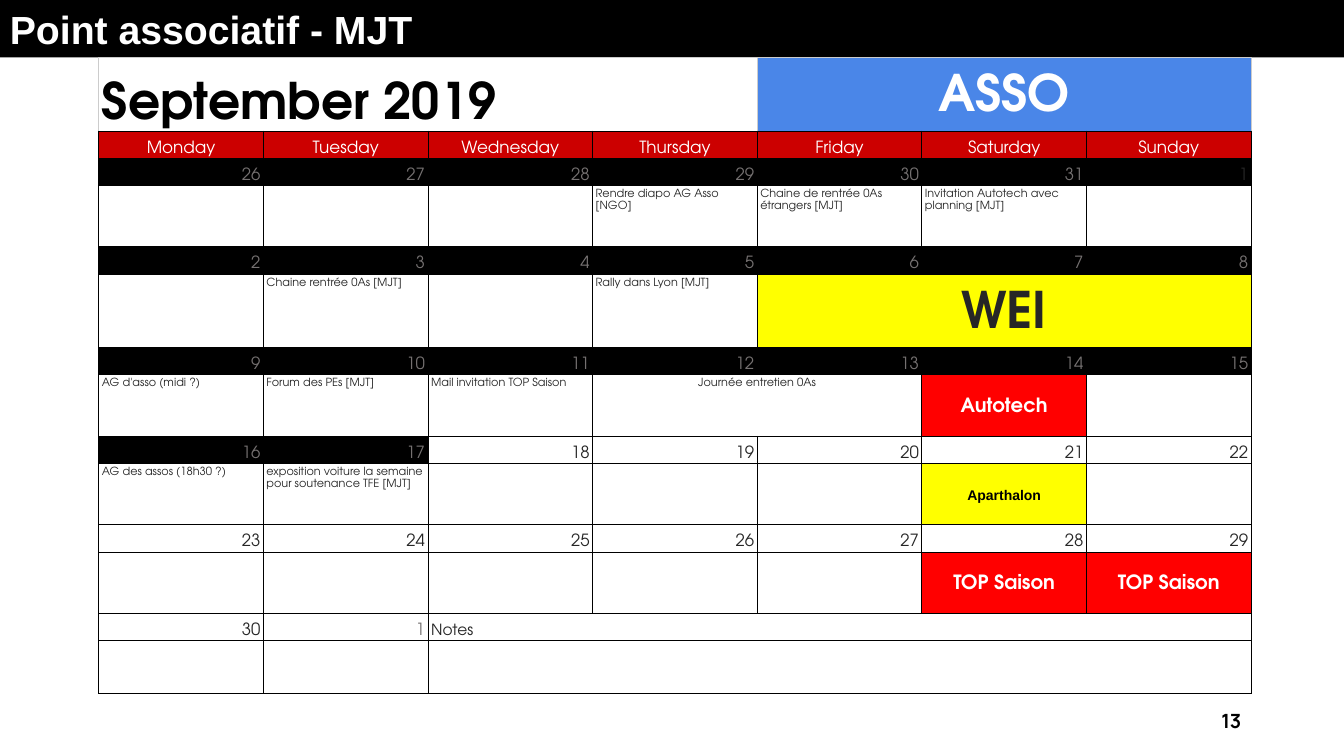
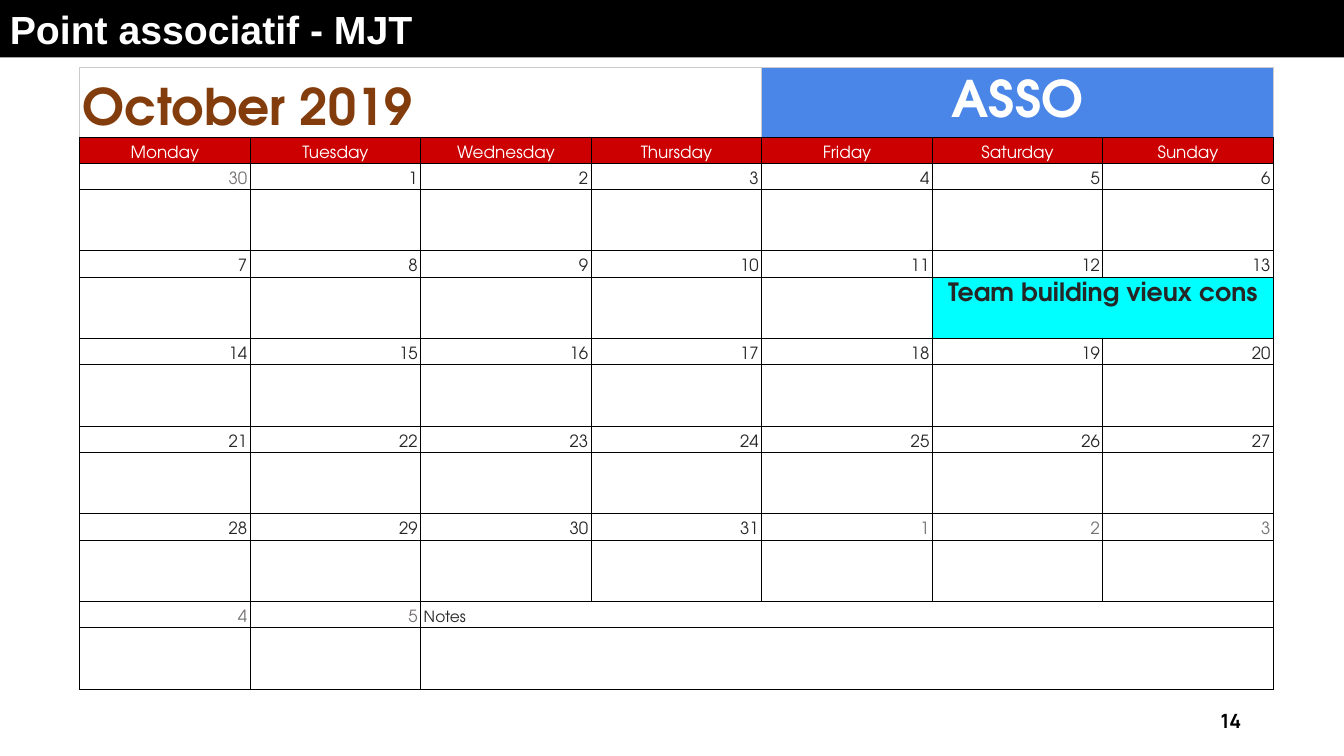
"""Build two monthly association calendars as slides."""
import dataclasses
import typing

import lxml.etree
import pptx
import pptx.dml.color
import pptx.enum.shapes
import pptx.enum.text
import pptx.oxml.ns
import pptx.slide
import pptx.table
import pptx.text.text
import pptx.util

Inches = pptx.util.Inches
Pt = pptx.util.Pt
RGBColor = pptx.dml.color.RGBColor
Align = pptx.enum.text.PP_ALIGN
Anchor = pptx.enum.text.MSO_ANCHOR
Style = dict[str, typing.Any]

BLACK = RGBColor(0x00, 0x00, 0x00)
WHITE = RGBColor(0xFF, 0xFF, 0xFF)
INK = RGBColor(0x26, 0x26, 0x26)
MUTED = RGBColor(0x75, 0x71, 0x71)
BROWN = RGBColor(0x83, 0x3C, 0x0C)
BLUE = RGBColor(0x4A, 0x86, 0xE8)
CRIMSON = RGBColor(0xCC, 0x00, 0x00)
RED = RGBColor(0xFF, 0x00, 0x00)
YELLOW = RGBColor(0xFF, 0xFF, 0x00)
CYAN = RGBColor(0x00, 0xFF, 0xFF)
GREY = RGBColor(0xCC, 0xCC, 0xCC)

CALENDAR_FONT = "TeX Gyre Adventor"
TITLE: Style = {"name": "Arial", "size": Pt(28), "bold": True}
PAGE: Style = {"name": "Manrope", "size": Pt(14), "bold": True}
HEADING: Style = {"name": CALENDAR_FONT, "size": Pt(36), "bold": True}
DAY: Style = {"name": CALENDAR_FONT, "size": Pt(12), "bold": False}
NOTES: Style = {**DAY, "size": Pt(11)}
TASK: Style = {**DAY, "size": Pt(8)}
HIGHLIGHT: Style = {**HEADING, "size": Pt(14)}
TEAM: Style = {**HEADING, "size": Pt(18)}
SMALL_BOLD: Style = {**TITLE, "size": Pt(10)}

CELL_MARGINS: Style = {
    "margin_left": Inches(0.03), "margin_right": Inches(0.03),
    "margin_top": Inches(0.02), "margin_bottom": Inches(0.02),
}
LINE_SPACING = 1.15
TIGHT_SPACING = 1.07
WEEKDAYS = ("Monday", "Tuesday", "Wednesday", "Thursday", "Friday", "Saturday", "Sunday")
WEEKS = 6
NOTES_COLUMN = 2
ASSO_COLUMN = 4
DATE_CELLS = 7 * (WEEKS - 1) + NOTES_COLUMN


@dataclasses.dataclass(frozen=True)
class Event:
    """An entry below one or more dates of a week."""
    week: int
    weekday: int
    text: str
    style: Style = dataclasses.field(default_factory=lambda: TASK)
    color: RGBColor = INK
    fill: RGBColor | None = None
    days: int = 1
    align: Align = Align.LEFT
    anchor: Anchor = Anchor.TOP


def highlight(week: int, weekday: int, text: str, fill: RGBColor, color: RGBColor,
              style: Style = HIGHLIGHT, days: int = 1) -> Event:
    """Return a centred event on a coloured cell."""
    return Event(week, weekday, text, style, color, fill, days, Align.CENTER, Anchor.MIDDLE)


@dataclasses.dataclass(frozen=True)
class Month:
    """A month's calendar, its place and its events."""
    name: str
    color: RGBColor
    page: int
    left: float
    top: float
    width: float
    heading_height: float
    date_height: float
    heading_spacing: float
    event_heights: tuple[float, ...]
    previous_days: tuple[int, ...]
    length: int
    past_cells: int
    events: tuple[Event, ...]


MONTHS = (
    Month(
        "September 2019", BLACK, 13, 0.98, 0.57, 11.43, 0.73, 0.27, LINE_SPACING,
        (0.61, 0.73, 0.61, 0.61, 0.61, 0.52), tuple(range(26, 32)), 30, 23,
        (
            Event(0, 3, "Rendre diapo AG Asso [NGO]"),
            Event(0, 4, "Chaine de rentrée 0As étrangers [MJT]"),
            Event(0, 5, "Invitation Autotech avec planning [MJT]"),
            Event(1, 1, "Chaine rentrée 0As [MJT]"),
            Event(1, 3, "Rally dans Lyon [MJT]"),
            highlight(1, 4, "WEI", YELLOW, INK, HEADING, days=3),
            Event(2, 0, "AG d'asso (midi ?)"),
            Event(2, 1, "Forum des PEs [MJT]"),
            Event(2, 2, "Mail invitation TOP Saison"),
            Event(2, 3, "Journée entretien 0As", days=2, align=Align.CENTER),
            highlight(2, 5, "Autotech", RED, WHITE),
            Event(3, 0, "AG des assos (18h30 ?)"),
            Event(3, 1, "exposition voiture la semaine pour soutenance TFE [MJT]"),
            highlight(3, 5, "Aparthalon", YELLOW, BLACK, SMALL_BOLD),
            highlight(4, 5, "TOP Saison", RED, WHITE),
            highlight(4, 6, "TOP Saison", RED, WHITE),
        ),
    ),
    Month(
        "October 2019", BROWN, 14, 0.79, 0.67, 11.84, 0.69, 0.26, TIGHT_SPACING,
        (0.61,) * WEEKS, (30,), 31, 0,
        (Event(1, 5, "Team building vieux cons", TEAM, INK, CYAN, 2, Align.CENTER),),
    ),
)


def write(paragraph: pptx.text.text._Paragraph, text: str, style: Style,
          color: RGBColor, align: Align = Align.LEFT) -> None:
    """Put one formatted run into a paragraph."""
    paragraph.alignment = align
    run = paragraph.add_run()
    run.text = text
    for name, value in style.items():
        setattr(run.font, name, value)
    run.font.color.rgb = color


def add_borders(cell: pptx.table._Cell, colors: dict[str, RGBColor]) -> None:
    """Draw thin cell borders, keyed by their line element."""
    properties = cell._tc.get_or_add_tcPr()
    for tag, color in colors.items():
        line = lxml.etree.SubElement(properties, pptx.oxml.ns.qn(f"a:{tag}"), w=str(Pt(0.75)))
        fill = lxml.etree.SubElement(line, pptx.oxml.ns.qn("a:solidFill"))
        lxml.etree.SubElement(fill, pptx.oxml.ns.qn("a:srgbClr"), val=str(color))


def fill_cell(cell: pptx.table._Cell, text: str, style: Style, color: RGBColor,
              align: Align = Align.LEFT, anchor: Anchor = Anchor.BOTTOM,
              fill: RGBColor | None = None, spacing: float = LINE_SPACING) -> None:
    """Write a calendar cell and colour it when a fill is given."""
    cell.vertical_anchor = anchor
    paragraph = cell.text_frame.paragraphs[0]
    paragraph.line_spacing = spacing
    write(paragraph, text, style, color, align)
    if fill is not None:
        cell.fill.solid()
        cell.fill.fore_color.rgb = fill


def merge(table: pptx.table.Table, row: int, first: int, last: int) -> pptx.table._Cell:
    """Merge part of a row and return the resulting cell."""
    cell = table.cell(row, first)
    if last > first:
        cell.merge(table.cell(row, last))
    return cell


def add_grid(slide: pptx.slide.Slide, month: Month) -> pptx.table.Table:
    """Add the empty bordered calendar grid."""
    heights = [month.heading_height, month.date_height]
    for event_height in month.event_heights:
        heights += [month.date_height, event_height]
    table = slide.shapes.add_table(
        len(heights), len(WEEKDAYS), Inches(month.left), Inches(month.top),
        Inches(month.width), Inches(sum(heights))).table
    table.first_row = table.horz_banding = False
    for column in table.columns:
        column.width = Inches(month.width / len(WEEKDAYS))
    for index, height in enumerate(heights):
        table.rows[index].height = Inches(height)
        edge = BLACK if index else GREY
        for cell in table.rows[index].cells:
            add_borders(cell, {"lnL": edge, "lnR": edge, "lnT": edge, "lnB": BLACK})
            cell.fill.background()
            for name, value in CELL_MARGINS.items():
                setattr(cell, name, value)
    return table


def add_dates(table: pptx.table.Table, month: Month) -> None:
    """Number the days, muting past days and neighbouring months."""
    lead = len(month.previous_days)
    days = [*month.previous_days, *range(1, month.length + 1), *range(1, 8)]
    for index, day in enumerate(days[:DATE_CELLS]):
        week, weekday = divmod(index, 7)
        outside = not lead <= index < lead + month.length
        muted = outside or 7 <= index < month.past_cells
        fill_cell(table.cell(2 + 2 * week, weekday), str(day), DAY,
                  MUTED if muted else INK, Align.RIGHT,
                  fill=BLACK if index < month.past_cells else None,
                  spacing=month.heading_spacing)


def add_calendar(slide: pptx.slide.Slide, month: Month) -> None:
    """Add a month's calendar with its headings, dates and events."""
    table = add_grid(slide, month)
    last = len(WEEKDAYS) - 1
    spacing = month.heading_spacing
    fill_cell(merge(table, 0, 0, ASSO_COLUMN - 1), month.name, HEADING, month.color,
              spacing=spacing)
    fill_cell(merge(table, 0, ASSO_COLUMN, last), "ASSO", HEADING, WHITE,
              Align.CENTER, Anchor.MIDDLE, BLUE, spacing)
    for column, weekday in enumerate(WEEKDAYS):
        fill_cell(table.cell(1, column), weekday, DAY, WHITE, Align.CENTER,
                  fill=CRIMSON, spacing=spacing)
    add_dates(table, month)
    for event in month.events:
        cell = merge(table, 3 + 2 * event.week, event.weekday, event.weekday + event.days - 1)
        fill_cell(cell, event.text, event.style, event.color, event.align,
                  event.anchor, event.fill)
    notes_row = 2 * WEEKS
    fill_cell(merge(table, notes_row, NOTES_COLUMN, last), "Notes", NOTES, INK,
              spacing=spacing)
    merge(table, notes_row + 1, NOTES_COLUMN, last)


def add_frame(slide: pptx.slide.Slide, page: int) -> None:
    """Add the page number and the title band."""
    number = slide.shapes.add_textbox(Inches(9.41), Inches(6.95), Inches(3), Inches(0.4))
    number.text_frame.word_wrap = True
    number.text_frame.vertical_anchor = Anchor.MIDDLE
    write(number.text_frame.paragraphs[0], str(page), PAGE, BLACK, Align.RIGHT)
    band = slide.shapes.add_shape(pptx.enum.shapes.MSO_SHAPE.RECTANGLE, 0, 0,
                                  Inches(13.33), Inches(0.57))
    band.shadow.inherit = False
    band.fill.solid()
    band.fill.fore_color.rgb = BLACK
    band.line.fill.background()
    band.text_frame.word_wrap = True
    band.text_frame.vertical_anchor = Anchor.TOP
    write(band.text_frame.paragraphs[0], "Point associatif - MJT", TITLE, WHITE)


def main() -> None:
    """Build and save the presentation."""
    presentation = pptx.Presentation()
    presentation.slide_width = Inches(13.33)
    presentation.slide_height = Inches(7.5)
    for month in MONTHS:
        slide = presentation.slides.add_slide(presentation.slide_layouts[6])
        add_frame(slide, month.page)
        add_calendar(slide, month)
    presentation.save("out.pptx")


if __name__ == "__main__":
    main()
